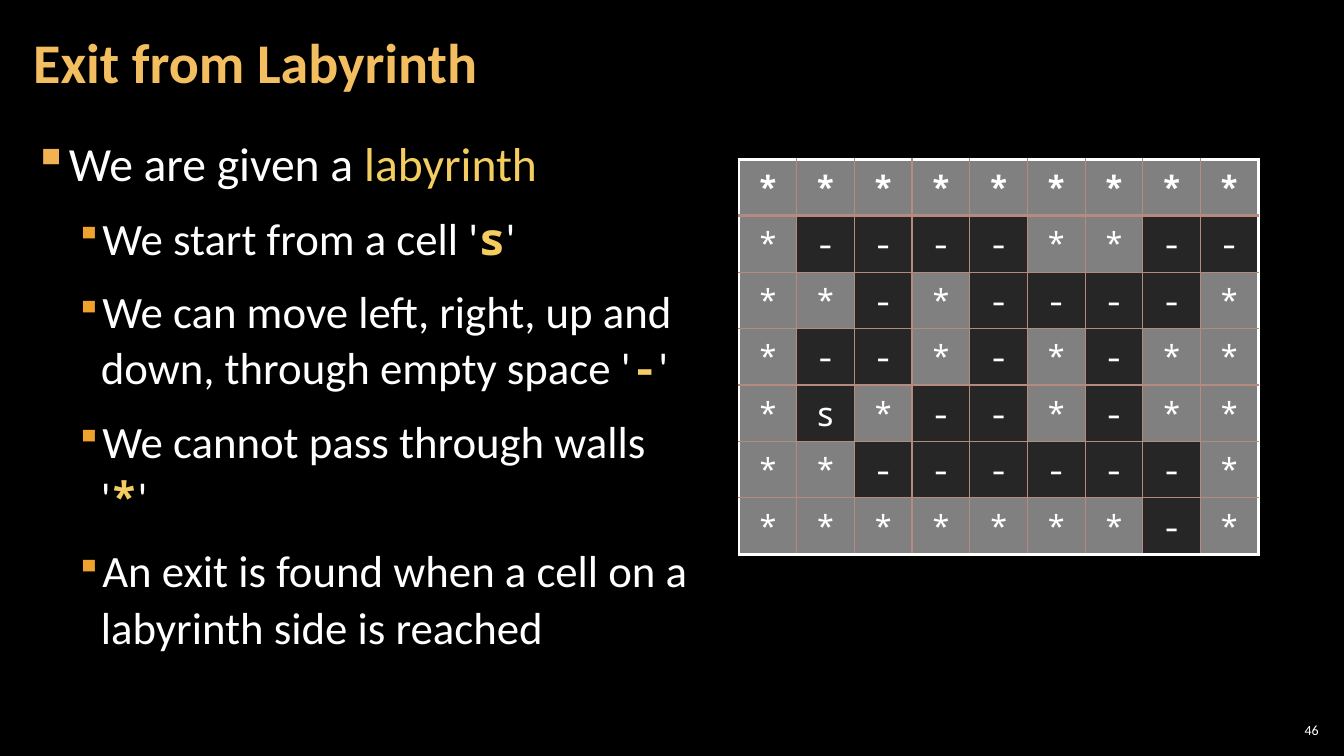
from lxml.etree import SubElement
from pptx import Presentation
from pptx.dml.color import RGBColor
from pptx.enum.text import MSO_ANCHOR as Anchor, PP_ALIGN as Align
from pptx.oxml.ns import qn
from pptx.util import Inches, Pt

BLACK = RGBColor(0x00, 0x00, 0x00)
WHITE = RGBColor(0xFF, 0xFF, 0xFF)
TITLE_GOLD = RGBColor(0xF3, 0xBE, 0x60)
ACCENT_GOLD = RGBColor(0xF3, 0xCD, 0x60)
BULLET_GOLD = RGBColor(0xF2, 0xB2, 0x54)
BULLET_ORANGE = RGBColor(0xF0, 0xA2, 0x2E)
WALL_GRAY = RGBColor(0x80, 0x80, 0x80)
FLOOR_GRAY = RGBColor(0x26, 0x26, 0x26)
GRID_PINK = RGBColor(0xB5, 0x8B, 0x80)
SANS, MONO = "Calibri", "Noto Sans Mono"

LABYRINTH = [
    "*********",
    "*----**--",
    "**-*----*",
    "*--*-*-**",
    "*s*--*-**",
    "**------*",
    "*******-*",
]
POINTS = [
    (0, "We are given a |labyrinth"),
    (1, "We start from a cell '|s|'"),
    (1, "We can move left, right, up and down, through empty space '|-|'"),
    (1, "We cannot pass through walls '|*|'"),
    (1, "An exit is found when a cell on a labyrinth side is reached"),
]
LEVELS = [
    (34, 0.33, 0.33, BULLET_GOLD, 100, SANS),
    (32, 0.67, 0.25, BULLET_ORANGE, 80, MONO),
]


def add_text_frame(left, top, width, height, side_inset, anchor):
    box = slide.shapes.add_textbox(Inches(left), Inches(top), Inches(width), Inches(height))
    text_frame = box.text_frame
    text_frame.word_wrap = True
    text_frame.vertical_anchor = anchor
    text_frame.margin_left = text_frame.margin_right = Inches(side_inset)
    text_frame.margin_top = text_frame.margin_bottom = Inches(0.04)
    return text_frame


def style_run(run, size, name, color, bold=False):
    run.font.size = Pt(size)
    run.font.name = name
    run.font.color.rgb = color
    run.font.bold = bold


presentation = Presentation()
presentation.slide_width = Inches(13.33)
presentation.slide_height = Inches(7.5)
slide = presentation.slides.add_slide(presentation.slide_layouts[6])
slide.background.fill.solid()
slide.background.fill.fore_color.rgb = BLACK

title_frame = add_text_frame(0.21, 0.04, 10.47, 1.21, 0.12, Anchor.MIDDLE)
title_frame.text = "Exit from Labyrinth"
title_frame.paragraphs[0].line_spacing = 0.9
style_run(title_frame.paragraphs[0].runs[0], 40, SANS, TITLE_GOLD, True)

body_frame = add_text_frame(0.21, 1.26, 6.79, 6.09, 0.12, Anchor.TOP)
for index, (level, text) in enumerate(POINTS):
    size, margin, hanging, bullet_color, bullet_size, accent_font = LEVELS[level]
    paragraph = body_frame.add_paragraph() if index else body_frame.paragraphs[0]
    paragraph.level = level
    paragraph.line_spacing = 1.05
    paragraph.space_before = paragraph.space_after = Pt(6)
    for position, piece in enumerate(text.split("|")):
        run = paragraph.add_run()
        run.text = piece
        if position % 2:
            style_run(run, size, accent_font, ACCENT_GOLD, level == 1)
        else:
            style_run(run, size, SANS, WHITE)
    properties = paragraph._p.get_or_add_pPr()
    properties.set("marL", str(Inches(margin)))
    properties.set("indent", str(-Inches(hanging)))
    bullet_fill = SubElement(properties, qn("a:buClr"))
    SubElement(bullet_fill, qn("a:srgbClr"), val=str(bullet_color))
    SubElement(properties, qn("a:buSzPct"), val=str(bullet_size * 1000))
    SubElement(properties, qn("a:buChar"), char="▪")

row_count, column_count = len(LABYRINTH), len(LABYRINTH[0])
table = slide.shapes.add_table(
    row_count, column_count, Inches(7.33), Inches(1.58), Inches(5.15), Inches(3.92)
).table
table.horz_banding = False
for row, symbols in enumerate(LABYRINTH):
    for column, symbol in enumerate(symbols):
        cell = table.cell(row, column)
        cell.text = symbol
        cell.vertical_anchor = Anchor.MIDDLE
        cell.margin_left = cell.margin_right = Inches(0.04)
        cell.margin_top = cell.margin_bottom = Inches(0.04)
        paragraph = cell.text_frame.paragraphs[0]
        paragraph.alignment = Align.CENTER
        style_run(paragraph.runs[0], 24, MONO, WHITE, row == 0)
        outer_sides = {
            "a:lnL": column == 0,
            "a:lnR": column == column_count - 1,
            "a:lnT": row == 0,
            "a:lnB": row == row_count - 1,
        }
        for side, is_outer in outer_sides.items():
            inner_width = 2 if row == 0 and side == "a:lnB" else 1
            width = Pt(2.25) if is_outer else Pt(inner_width)
            border = SubElement(cell._tc.get_or_add_tcPr(), qn(side), w=str(width))
            border_fill = SubElement(border, qn("a:solidFill"))
            color = WHITE if is_outer else GRID_PINK
            SubElement(border_fill, qn("a:srgbClr"), val=str(color))
        cell.fill.solid()
        cell.fill.fore_color.rgb = WALL_GRAY if symbol == "*" else FLOOR_GRAY

number_frame = add_text_frame(12.65, 7.14, 0.47, 0.21, 0.04, Anchor.MIDDLE)
number_frame.text = "46"
number_frame.paragraphs[0].alignment = Align.RIGHT
style_run(number_frame.paragraphs[0].runs[0], 10, SANS, WHITE)

presentation.save("out.pptx")
